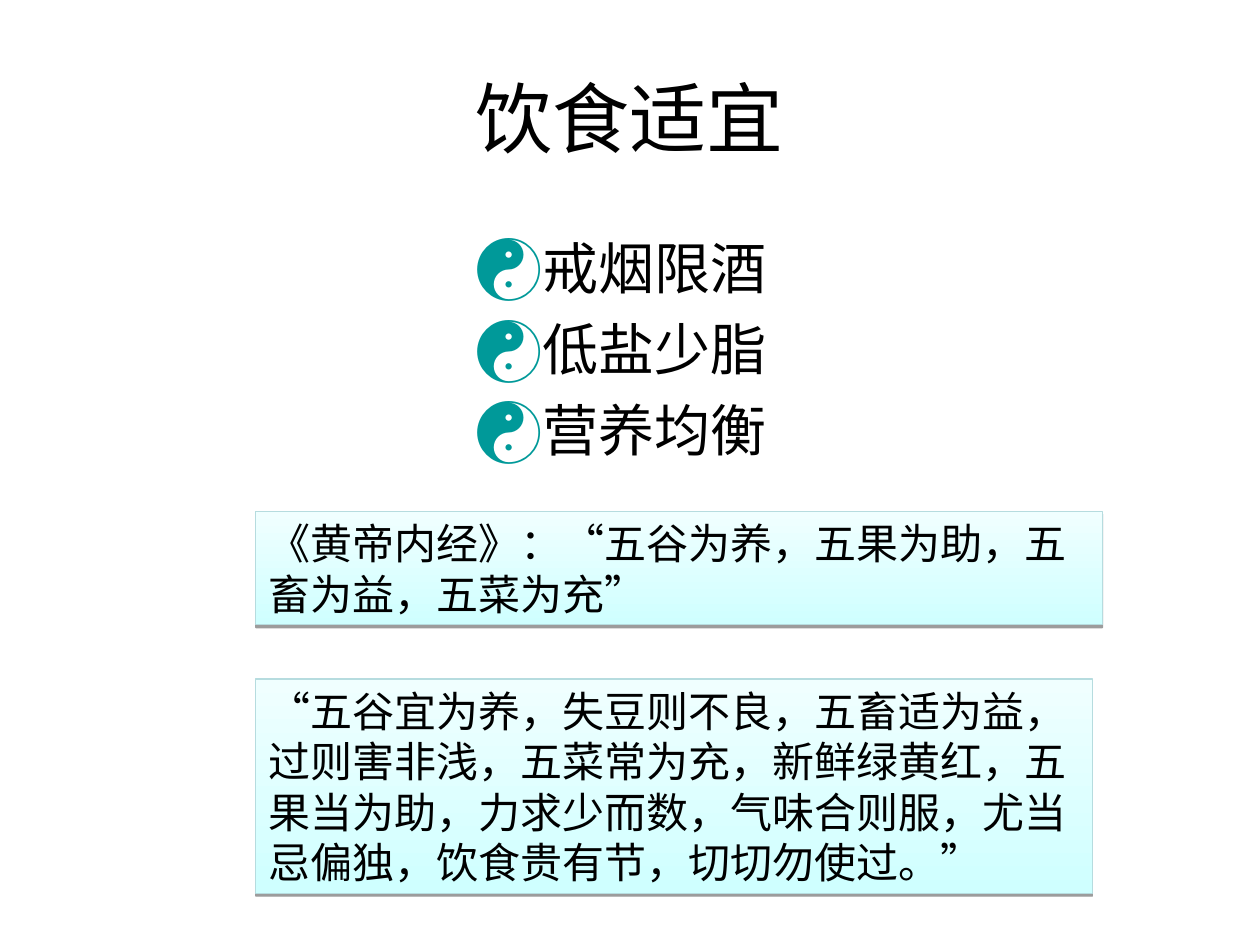
from lxml import etree
from pptx import Presentation
from pptx.dml.color import RGBColor
from pptx.enum.shapes import MSO_SHAPE
from pptx.enum.text import MSO_ANCHOR, PP_ALIGN
from pptx.oxml import parse_xml
from pptx.oxml.ns import nsdecls, qn
from pptx.util import Inches, Pt

RECTANGLE = MSO_SHAPE.RECTANGLE
MIDDLE, TOP = MSO_ANCHOR.MIDDLE, MSO_ANCHOR.TOP
LEFT, CENTER = PP_ALIGN.LEFT, PP_ALIGN.CENTER
TITLE_AND_CONTENT = 1

COLORS = {
    "text": "000000",
    "bullet": "009999",
    "quote_bottom": "CFFFFF",
    "quote_top": "F0FFFF",
    "quote_line": "B6DCDF",
    "shadow": "000000",
}
CJK_FONT = "Noto Sans CJK SC"

HABITS = ["戒烟限酒", "低盐少脂", "营养均衡"]
CLASSIC = "《黄帝内经》：“五谷为养，五果为助，五畜为益，五菜为充”"
VERSE = (
    "“五谷宜为养，失豆则不良，五畜适为益，过则害非浅，五菜常为充，新鲜绿黄红，"
    "五果当为助，力求少而数，气味合则服，尤当忌偏独，饮食贵有节，切切勿使过。”"
)


def rgb(name):
    return RGBColor.from_string(COLORS[name])


def place(shape, box):
    shape.left, shape.top, shape.width, shape.height = (Inches(v) for v in box)


def style(paragraph, size, align, latin=CJK_FONT):
    paragraph.alignment = align
    font = paragraph.font
    font.size, font.name = Pt(size), latin
    font.color.rgb = rgb("text")


def add_bullet(paragraph):
    """Give the paragraph a hanging yin-yang bullet."""
    properties = paragraph._p.get_or_add_pPr()
    indent = Inches(0.38)
    properties.set("marL", str(indent))
    properties.set("indent", str(-indent))
    color = etree.SubElement(properties, qn("a:buClr"))
    etree.SubElement(color, qn("a:srgbClr"), val=COLORS["bullet"])
    etree.SubElement(properties, qn("a:buSzPct"), val="120000")
    etree.SubElement(properties, qn("a:buFont"), typeface=CJK_FONT)
    etree.SubElement(properties, qn("a:buChar"), char="☯")


def fill_title(title, box):
    place(title, box)
    title.text_frame.text = "饮食适宜"
    title.text_frame.vertical_anchor = MIDDLE
    style(title.text_frame.paragraphs[0], 44, CENTER, "Arial")


def fill_habits(body, box):
    place(body, box)
    frame = body.text_frame
    frame.text = "\n".join(HABITS)
    for index, paragraph in enumerate(frame.paragraphs):
        paragraph.space_before = Pt(8 if index else 0)
        add_bullet(paragraph)
        style(paragraph, 32, LEFT)


def add_quote(slide, box, words, anchor):
    quote = slide.shapes.add_shape(RECTANGLE, *(Inches(v) for v in box))
    quote.fill.gradient()
    quote.fill.gradient_angle = 90
    for stop, name in zip(quote.fill.gradient_stops, ("quote_bottom", "quote_top")):
        stop.color.rgb = rgb(name)
    quote.line.color.rgb = rgb("quote_line")
    quote.line.width = Pt(0.75)
    quote.shadow.inherit = False
    effects = quote._element.spPr.find(qn("a:effectLst"))
    effects.append(parse_xml(
        f'<a:outerShdw {nsdecls("a")} blurRad="0" dist="{Pt(1.6)}" dir="5400000" rotWithShape="0">'
        f'<a:srgbClr val="{COLORS["shadow"]}"><a:alpha val="38000"/></a:srgbClr></a:outerShdw>'
    ))
    frame = quote.text_frame
    frame.word_wrap = True
    frame.vertical_anchor = anchor
    frame.text = words
    style(frame.paragraphs[0], 24, LEFT)


def main():
    presentation = Presentation()
    presentation.slide_width, presentation.slide_height = Inches(10), Inches(7.5)
    slide = presentation.slides.add_slide(presentation.slide_layouts[TITLE_AND_CONTENT])
    fill_title(slide.shapes.title, (0.5, 0.3, 9, 1.25))
    fill_habits(slide.placeholders[1], (3.67, 1.8, 3.63, 4.95))
    add_quote(slide, (2.03, 4.06, 6.72, 0.9), CLASSIC, MIDDLE)
    add_quote(slide, (2.03, 5.39, 6.64, 1.7), VERSE, TOP)
    presentation.save("out.pptx")


if __name__ == "__main__":
    main()
